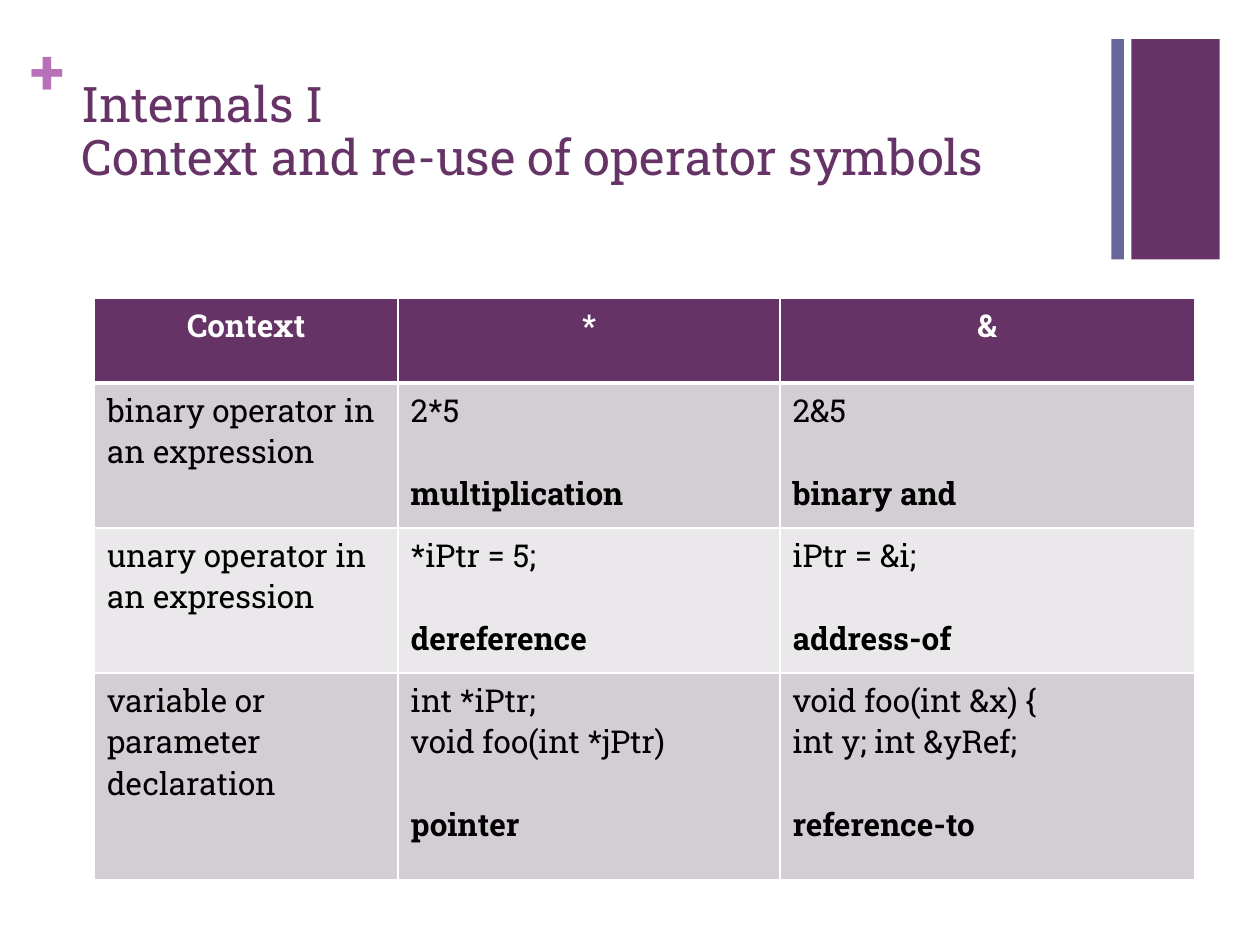
from lxml import etree
from pptx import Presentation
from pptx.dml.color import RGBColor
from pptx.enum import shapes, text
from pptx.oxml.ns import qn
from pptx.util import Inches, Pt

PURPLE = RGBColor(0x66, 0x33, 0x66)
BLUE = RGBColor(0x66, 0x66, 0x99)
ORCHID = RGBColor(0xB8, 0x70, 0xB8)
DARK_BAND = RGBColor(0xD3, 0xCE, 0xD3)
LIGHT_BAND = RGBColor(0xEA, 0xE8, 0xEA)
WHITE = RGBColor(0xFF, 0xFF, 0xFF)
BLACK = RGBColor(0, 0, 0)
FONT = "Roboto Slab"
LINE_18 = Pt(23.75)  # height of one 18 pt line


def write(tf, lines, size=18, color=BLACK, bold=False, align=None,
          spacing=None, bold_last=False):
    """Fill tf with one paragraph per line; bold_last sets the last one apart."""
    tf.word_wrap = True
    for i, line in enumerate(lines):
        p = tf.add_paragraph() if i else tf.paragraphs[0]
        p.alignment = align
        p.line_spacing = spacing
        is_label = bold_last and i == len(lines) - 1
        if is_label:
            p.space_before = LINE_18
        r = p.add_run()
        r.text = line
        r.font.name, r.font.size = FONT, Pt(size)
        r.font.bold = bold or is_label
        r.font.color.rgb = color


def set_borders(cell, bottom):
    tcPr = cell._tc.get_or_add_tcPr()
    edges = (("lnL", 1), ("lnR", 1), ("lnT", 1), ("lnB", bottom))
    for i, (edge, width) in enumerate(edges):
        ln = etree.Element(qn("a:" + edge), w=str(Pt(width)))
        fill = etree.SubElement(ln, qn("a:solidFill"))
        etree.SubElement(fill, qn("a:srgbClr"), val=str(WHITE))
        tcPr.insert(i, ln)


prs = Presentation()
prs.slide_width, prs.slide_height = Inches(10), Inches(7.5)
s = prs.slides.add_slide(prs.slide_layouts[6])

# Corner bars
for left, width, color in ((8.98, 0.7, PURPLE), (8.82, 0.1, BLUE)):
    sp = s.shapes.add_shape(shapes.MSO_SHAPE.RECTANGLE, Inches(left),
                            Inches(0.31), Inches(width), Inches(1.75))
    sp.shadow.inherit = False
    sp.fill.solid()
    sp.fill.fore_color.rgb = color
    sp.line.fill.background()

# Plus sign and title
tf = s.shapes.add_textbox(Inches(0.24), Inches(0.25), Inches(0.29),
                          Inches(0.61)).text_frame
tf.margin_left = tf.margin_right = tf.margin_top = tf.margin_bottom = 0
write(tf, ["+"], size=36, color=ORCHID, bold=True)

tf = s.shapes.add_textbox(Inches(0.55), Inches(0.53), Inches(8.26),
                          Inches(1.05)).text_frame
tf.vertical_anchor = text.MSO_ANCHOR.MIDDLE
write(tf, ["Internals I", "Context and re-use of operator symbols"],
      size=28, color=PURPLE, spacing=0.9)

# Operator table
rows = [
    [["Context"], ["*"], ["&"]],
    [["binary operator in an expression"],
     ["2*5", "multiplication"], ["2&5", "binary and"]],
    [["unary operator in an expression"],
     ["*iPtr = 5;", "dereference"], ["iPtr = &i;", "address-of"]],
    [["variable or parameter declaration"],
     ["int *iPtr;", "void foo(int *jPtr)", "pointer"],
     ["void foo(int &x) {", "int y; int &yRef;", "reference-to"]],
]
col_widths = [2.41, 3.03, 3.29]
row_heights = [0.67, 1.15, 1.15, 1.64]
table = s.shapes.add_table(len(rows), len(col_widths), Inches(0.75),
                           Inches(2.37), Inches(sum(col_widths)),
                           Inches(sum(row_heights))).table
for col, width in zip(table.columns, col_widths):
    col.width = Inches(width)
for row, height in zip(table.rows, row_heights):
    row.height = Inches(height)

for i, row in enumerate(rows):
    for j, lines in enumerate(row):
        cell = table.cell(i, j)
        cell.fill.solid()
        if i == 0:
            cell.fill.fore_color.rgb = PURPLE
            write(cell.text_frame, lines, color=WHITE, bold=True,
                  align=text.PP_ALIGN.CENTER)
        else:
            cell.fill.fore_color.rgb = DARK_BAND if i % 2 else LIGHT_BAND
            write(cell.text_frame, lines, bold_last=j > 0)
        set_borders(cell, bottom=1 if i else 3)
        if i == 1:
            top = cell._tc.tcPr.find(qn("a:lnT"))
            top.set("w", str(Pt(3)))

prs.save("out.pptx")
